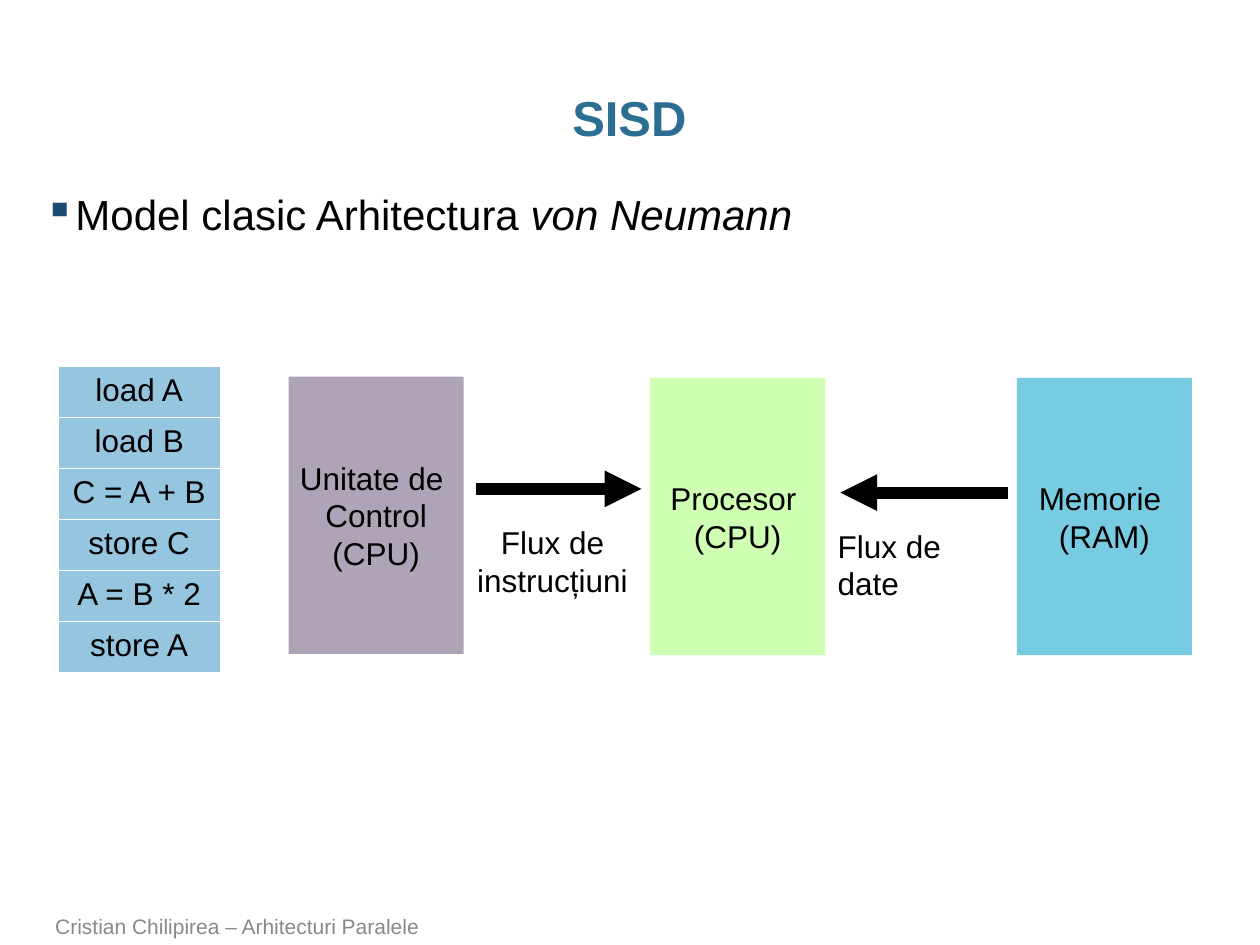
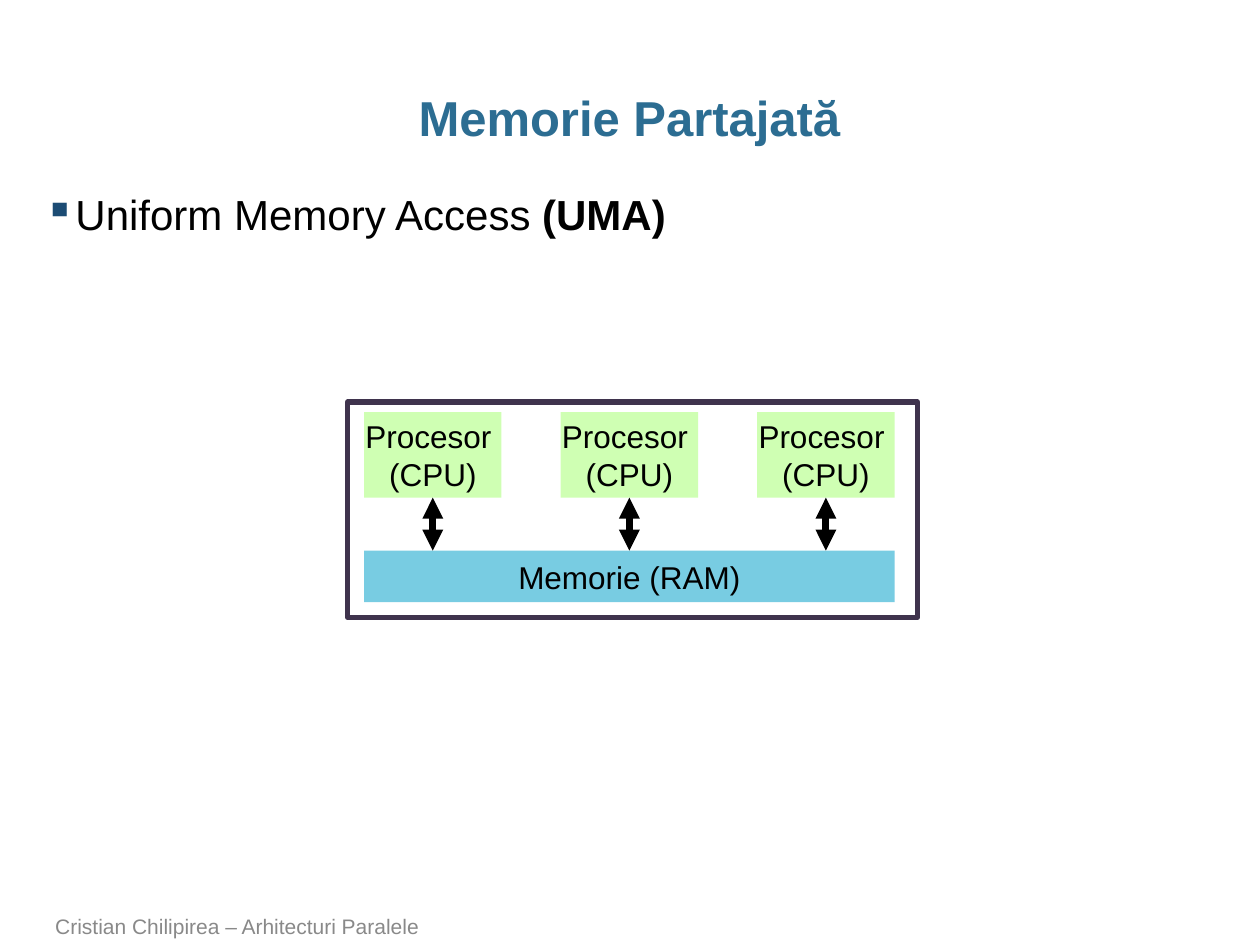
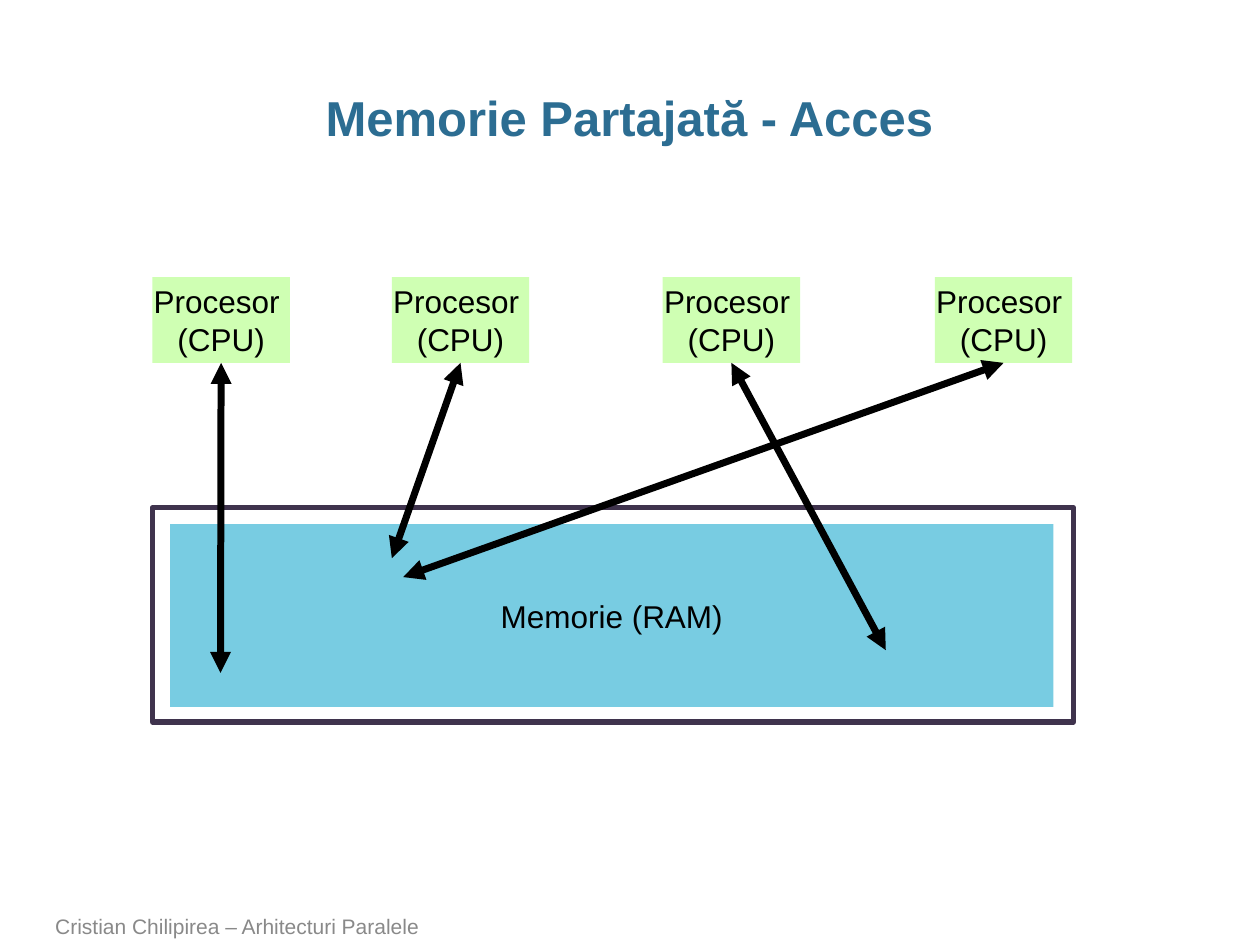
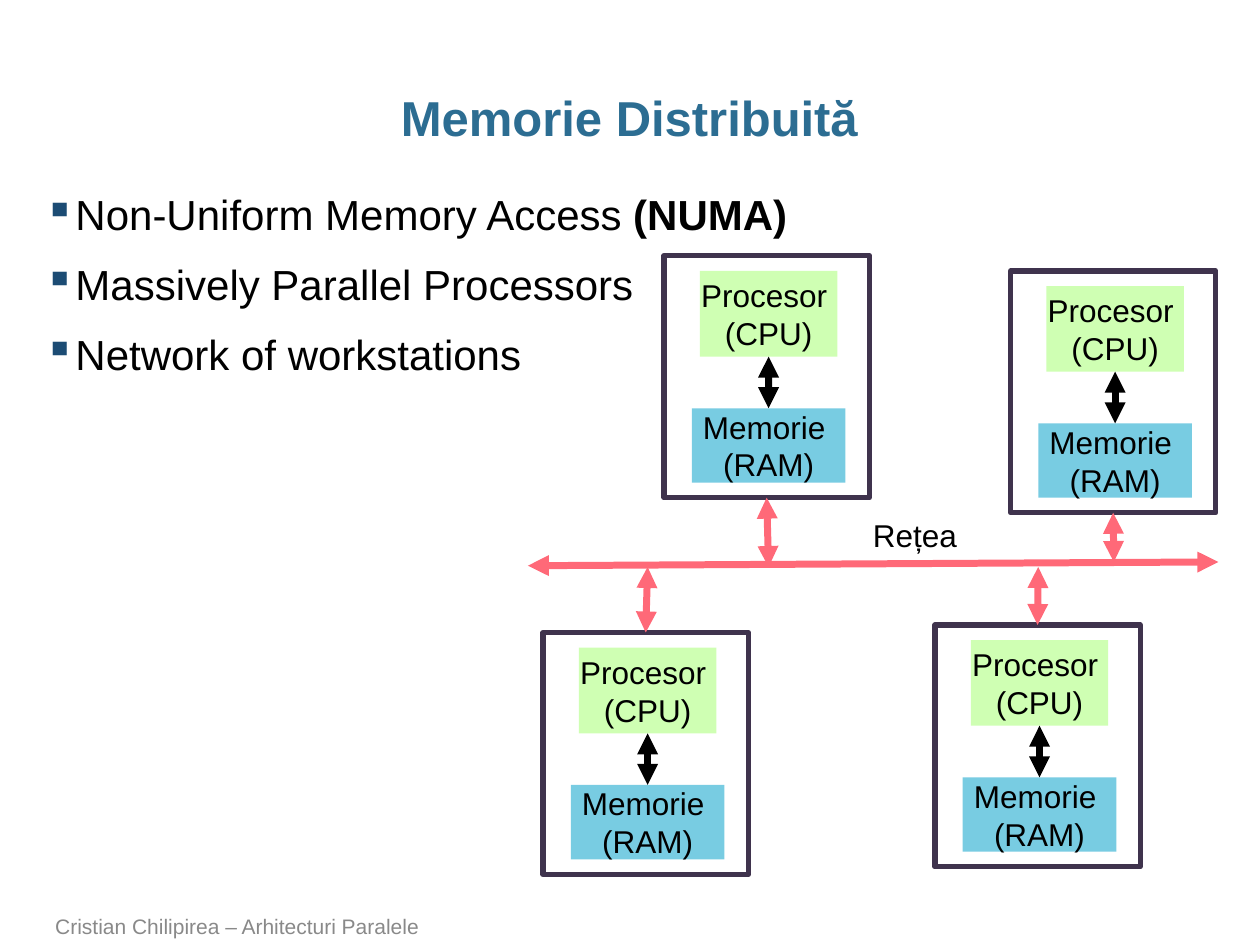
from typing import NamedTuple, Optional, Sequence

from lxml import etree
from pptx import Presentation
from pptx.dml.color import RGBColor
from pptx.enum.shapes import MSO_CONNECTOR, MSO_SHAPE
from pptx.enum.text import MSO_ANCHOR, MSO_AUTO_SIZE, PP_ALIGN
from pptx.oxml.ns import qn
from pptx.util import Inches, Pt

STRAIGHT = MSO_CONNECTOR.STRAIGHT
RECTANGLE = MSO_SHAPE.RECTANGLE
TOP, MIDDLE, BOTTOM = MSO_ANCHOR.TOP, MSO_ANCHOR.MIDDLE, MSO_ANCHOR.BOTTOM
LEFT, CENTER = PP_ALIGN.LEFT, PP_ALIGN.CENTER
NO_AUTOFIT = MSO_AUTO_SIZE.NONE
SITE_TOP, SITE_BOTTOM = 0, 2
TITLE_ONLY = 5

FONT = "Arial"
COLORS = {
    "title": "2C6D92",
    "bullet": "1C4C74",
    "text": "000000",
    "footer": "898989",
    "processor": "CFFFB3",
    "memory": "78CCE2",
    "control": "AEA3B7",
    "code": "96C5E0",
    "border": "FFFFFF",
    "frame": "3F334D",
    "network": "FF6978",
}
FOOTER = "Cristian Chilipirea – Arhitecturi Paralele"
CPU_LINES = ("Procesor ", "(CPU)")
RAM_LINES = ("Memorie ", "(RAM)")
CPU_WIDTH, CPU_HEIGHT = 1.09, 0.68


class Run(NamedTuple):
    text: str
    bold: bool = False
    italic: bool = False


class Point(NamedTuple):
    x: float
    y: float


class Area(NamedTuple):
    left: float
    top: float
    width: float
    height: float

    def inches(self) -> list:
        return [Inches(value) for value in self]

    def middle(self, site: int) -> Point:
        """Middle of the top or bottom side."""
        y = self.top if site == SITE_TOP else self.top + self.height
        return Point(self.left + self.width / 2, y)


class Block(NamedTuple):
    area: Area
    color: str
    lines: Sequence[str]


class Join(NamedTuple):
    """A connector end glued to a side of a shape."""
    shape: object
    site: int


class Node(NamedTuple):
    """A workstation and the point where its link meets the network."""
    left: float
    top: float
    site: int
    network: Point


# ---- Text ----

def rgb(name: str) -> RGBColor:
    return RGBColor.from_string(COLORS[name])


def add_bullet(paragraph) -> None:
    properties = paragraph._p.get_or_add_pPr()
    indent = Inches(0.21)
    properties.set("marL", str(indent))
    properties.set("indent", str(-indent))
    color = etree.SubElement(properties, qn("a:buClr"))
    etree.SubElement(color, qn("a:srgbClr")).set("val", COLORS["bullet"])
    etree.SubElement(properties, qn("a:buChar")).set("char", "▪")


def write_text(frame, paragraphs: Sequence, *, size: float = 18, color: str = "text",
               bold: bool = False, align=LEFT, anchor=TOP, wrap: bool = True,
               bullets: bool = False, spacing: Optional[float] = None,
               space_before: float = 0, side_margin: Optional[float] = None) -> None:
    """Each paragraph is a string or a sequence of runs."""
    frame.auto_size = NO_AUTOFIT
    frame.word_wrap = wrap
    frame.vertical_anchor = anchor
    if side_margin is not None:
        frame.margin_left = frame.margin_right = Inches(side_margin)
    for index, content in enumerate(paragraphs):
        paragraph = frame.add_paragraph() if index else frame.paragraphs[0]
        if bullets:
            add_bullet(paragraph)
        paragraph.alignment = align
        if spacing:
            paragraph.line_spacing = spacing
        paragraph.space_before = Pt(space_before if index else 0)
        runs = [Run(content, bold)] if isinstance(content, str) else content
        for item in runs:
            run = paragraph.add_run()
            run.text = item.text
            run.font.name = FONT
            run.font.size = Pt(size)
            run.font.bold = item.bold
            run.font.italic = item.italic
            run.font.color.rgb = rgb(color)


def add_label(slide, area: Area, paragraphs: Sequence, **text_format):
    box = slide.shapes.add_textbox(*area.inches())
    write_text(box.text_frame, paragraphs, **text_format)
    return box


# ---- Shapes and connectors ----

def add_block(slide, block: Block):
    shape = slide.shapes.add_shape(RECTANGLE, *block.area.inches())
    shape.shadow.inherit = False
    shape.fill.solid()
    shape.fill.fore_color.rgb = rgb(block.color)
    shape.line.fill.background()
    write_text(shape.text_frame, block.lines, align=CENTER, anchor=MIDDLE, wrap=False)
    return shape


def add_processor(slide, left: float, top: float):
    area = Area(left, top, CPU_WIDTH, CPU_HEIGHT)
    return add_block(slide, Block(area, "processor", CPU_LINES))


def add_frame(slide, area: Area):
    shape = slide.shapes.add_shape(RECTANGLE, *area.inches())
    shape.shadow.inherit = False
    shape.fill.background()
    shape.line.color.rgb = rgb("frame")
    shape.line.width = Pt(3)
    return shape


def add_arrow(slide, start: Point, end: Point, *, color: str = "text", width: float = 4,
              both_ends: bool = True, begin_join: Optional[Join] = None,
              end_join: Optional[Join] = None) -> None:
    connector = slide.shapes.add_connector(
        STRAIGHT, *(Inches(value) for value in (*start, *end)))
    if begin_join:
        connector.begin_connect(begin_join.shape, begin_join.site)
    if end_join:
        connector.end_connect(end_join.shape, end_join.site)
    connector.line.color.rgb = rgb(color)
    connector.line.width = Pt(width)
    line = connector.line._get_or_add_ln()
    for tag in ("a:headEnd", "a:tailEnd") if both_ends else ("a:tailEnd",):
        etree.SubElement(line, qn(tag)).set("type", "triangle")
    etree.SubElement(connector._element.spPr, qn("a:effectLst"))


def add_code_table(slide, area: Area, instructions: Sequence[str]) -> None:
    table = slide.shapes.add_table(len(instructions), 1, *area.inches()).table
    table.first_row = table.horz_banding = False
    for row, instruction in zip(table.rows, instructions):
        row.height = Inches(area.height / len(instructions))
        cell = row.cells[0]
        write_text(cell.text_frame, [instruction], align=CENTER)
        properties = cell._tc.get_or_add_tcPr()
        for tag in ("a:lnL", "a:lnR", "a:lnT", "a:lnB"):
            border = etree.SubElement(properties, qn(tag))
            border.set("w", str(Pt(1)))
            fill = etree.SubElement(border, qn("a:solidFill"))
            etree.SubElement(fill, qn("a:srgbClr")).set("val", COLORS["border"])
        cell.fill.solid()
        cell.fill.fore_color.rgb = rgb("code")


# ---- Shared slide parts ----

def start_slide(presentation, title_text: str, bullets: Sequence = ()):
    slide = presentation.slides.add_slide(presentation.slide_layouts[TITLE_ONLY])
    title = slide.shapes.title
    title.left, title.top, title.width, title.height = Area(0.34, 0.68, 9.31, 0.5).inches()
    write_text(title.text_frame, [title_text], size=28, color="title", bold=True,
               align=CENTER, spacing=0.95, side_margin=0)
    if bullets:
        add_label(slide, Area(0.35, 1.45, 9.32, 5.57), bullets, size=24, bullets=True,
                  space_before=11, side_margin=0)
    add_label(slide, Area(0.34, 7.22, 7.37, 0.28), [FOOTER], size=12, color="footer",
              anchor=BOTTOM)
    return slide


# ---- Slides ----

def build_sisd(presentation) -> None:
    slide = start_slide(presentation, "SISD", [
        [Run("Model clasic Arhitectura "), Run("von Neumann", italic=True)]])
    add_label(slide, Area(3.68, 4.1, 1.41, 0.71), ["Flux de", "instrucțiuni"],
              align=CENTER, wrap=False)
    add_label(slide, Area(6.55, 4.13, 1.45, 0.71), ["Flux de date"])
    for block in (
        Block(Area(5.16, 3, 1.39, 2.2), "processor", CPU_LINES),
        Block(Area(8.07, 3, 1.39, 2.2), "memory", RAM_LINES),
        Block(Area(2.29, 2.99, 1.39, 2.2), "control", ("Unitate de ", "Control", "(CPU)")),
    ):
        add_block(slide, block)
    add_code_table(slide, Area(0.46, 2.91, 1.29, 2.43), [
        "load A", "load B", "C = A + B", "store C", "A = B * 2", "store A"])
    for start, end in ((Point(3.78, 3.88), Point(5.09, 3.88)),
                       (Point(8, 3.91), Point(6.67, 3.91))):
        add_arrow(slide, start, end, width=7, both_ends=False)


def build_shared_memory(presentation) -> None:
    slide = start_slide(presentation, "Memorie Partajată", [
        [Run("Uniform Memory Access "), Run("(UMA)", bold=True)]])
    memory_area = Area(2.89, 4.37, 4.21, 0.41)
    memory = add_block(slide, Block(memory_area, "memory", ["Memorie (RAM)"]))
    processor_top, pitch = 3.27, 1.56
    for column in range(3):
        left = memory_area.left + column * pitch
        processor = add_processor(slide, left, processor_top)
        x = left + CPU_WIDTH / 2
        add_arrow(slide, Point(x, processor_top + CPU_HEIGHT), Point(x, memory_area.top),
                  begin_join=Join(processor, SITE_BOTTOM),
                  end_join=Join(memory, SITE_TOP) if column == 1 else None)
    add_frame(slide, Area(2.76, 3.19, 4.52, 1.71))


def build_shared_access(presentation) -> None:
    slide = start_slide(presentation, "Memorie Partajată - Acces")
    add_block(slide, Block(Area(1.35, 4.16, 7.01, 1.45), "memory", ["Memorie (RAM)"]))
    processor_top = 2.2
    # Left edge of each processor and the memory point it reaches
    accesses = (
        (1.21, Point(1.75, 5.34)),
        (3.11, Point(3.11, 4.43)),
        (5.26, Point(7.03, 5.16)),
        (7.42, Point(3.2, 4.58)),
    )
    add_frame(slide, Area(1.21, 4.03, 7.31, 1.7))
    for left, target in accesses:
        processor = add_processor(slide, left, processor_top)
        start = Point(left + CPU_WIDTH / 2, processor_top + CPU_HEIGHT)
        add_arrow(slide, start, target, begin_join=Join(processor, SITE_BOTTOM))


def add_node(slide, node: Node) -> None:
    memory_area = Area(node.left + 0.22, node.top + 1.21, 1.22, 0.59)
    memory = add_block(slide, Block(memory_area, "memory", RAM_LINES))
    processor_left = memory_area.left + (memory_area.width - CPU_WIDTH) / 2
    processor_top = node.top + 0.12
    processor = add_processor(slide, processor_left, processor_top)
    memory_side = memory_area.middle(SITE_TOP)
    add_arrow(slide, Point(memory_side.x, processor_top + CPU_HEIGHT), memory_side,
              begin_join=Join(processor, SITE_BOTTOM), end_join=Join(memory, SITE_TOP))
    frame_area = Area(node.left, node.top, 1.63, 1.92)
    frame = add_frame(slide, frame_area)
    add_arrow(slide, frame_area.middle(node.site), node.network, color="network",
              begin_join=Join(frame, node.site))


def build_distributed_memory(presentation) -> None:
    slide = start_slide(presentation, "Memorie Distribuită", [
        [Run("Non-Uniform Memory Access "), Run("(NUMA)", bold=True)],
        "Massively Parallel Processors",
        "Network of workstations",
    ])
    for node in (
        Node(5.27, 2.03, SITE_BOTTOM, Point(6.1, 4.5)),
        Node(8.02, 2.15, SITE_BOTTOM, Point(8.84, 4.46)),
        Node(4.31, 5.02, SITE_TOP, Point(5.14, 4.5)),
        Node(7.42, 4.96, SITE_TOP, Point(8.24, 4.5)),
    ):
        add_node(slide, node)
    add_arrow(slide, Point(9.67, 4.46), Point(4.19, 4.49), color="network")
    add_label(slide, Area(6.83, 4.05, 0.88, 0.4), ["Rețea"], wrap=False)


def main() -> None:
    presentation = Presentation()
    presentation.slide_width = Inches(10)
    presentation.slide_height = Inches(7.5)
    build_sisd(presentation)
    build_shared_memory(presentation)
    build_shared_access(presentation)
    build_distributed_memory(presentation)
    presentation.save("out.pptx")


if __name__ == "__main__":
    main()
